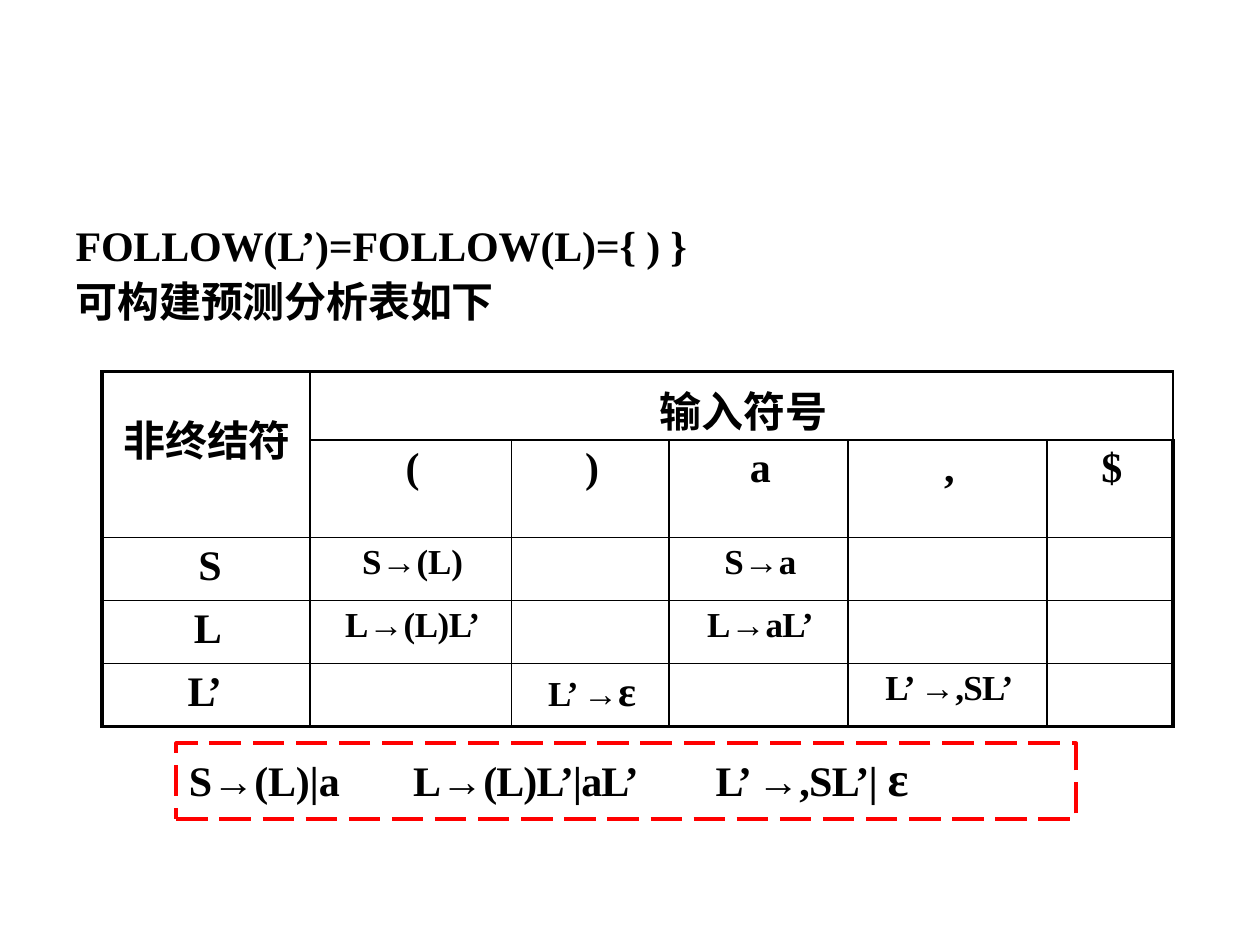
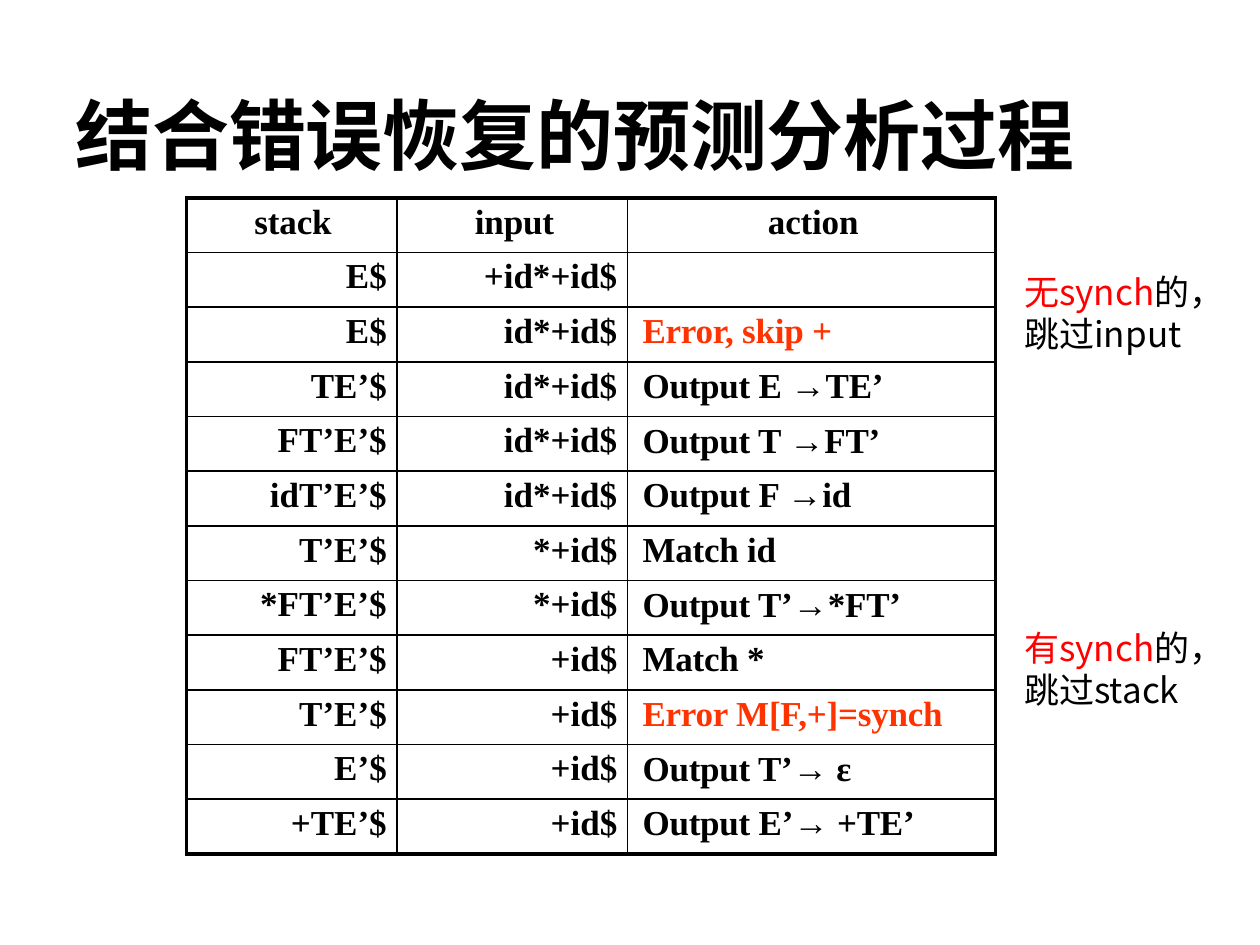
"""Builds two slides on predictive parsing: a parsing table and an error recovery trace."""
from itertools import groupby

from lxml import etree
from pptx import Presentation
from pptx.dml.color import RGBColor
from pptx.enum import dml, text
from pptx.oxml.ns import qn
from pptx.util import Inches, Pt

COLORS = {"ink": "000000", "error": "FF3300", "accent": "FF0000"}
SERIF, CJK, SYMBOL = "Times New Roman", "Noto Sans CJK SC", "Arial"
LEFT, CENTER, RIGHT = text.PP_ALIGN.LEFT, text.PP_ALIGN.CENTER, text.PP_ALIGN.RIGHT


def write(para, words, font=SERIF, size=24, color="ink", bold=True, spacing=-0.1,
          align=LEFT, before=0, line=1.0):
    """Add words to a paragraph, setting arrows in the symbol font."""
    para.alignment, para.space_before, para.line_spacing = align, Pt(before), line
    for is_arrow, letters in groupby(words, key=lambda letter: letter == "→"):
        span = para.add_run()
        span.text = "".join(letters)
        span.font.name = SYMBOL if is_arrow else font
        span.font.size, span.font.bold = Pt(size), bold
        span.font.color.rgb = RGBColor.from_string(COLORS[color])
        props = span.font._element
        props.set("spc", str(round(spacing * 100)))
        etree.SubElement(props, qn("a:ea")).set("typeface", span.font.name)


def add_grid(page, left, top, widths, heights):
    """Add an unfilled table with thin inner rules and a thick frame."""
    table = page.shapes.add_table(len(heights), len(widths), Inches(left), Inches(top),
                                  Inches(sum(widths)), Inches(sum(heights))).table
    table.first_row = table.horz_banding = False
    for column, width in zip(table.columns, widths):
        column.width = Inches(width)
    for row, height in zip(table.rows, heights):
        row.height = Inches(height)
    last_row, last_col = len(heights) - 1, len(widths) - 1
    for r in range(len(heights)):
        for c in range(len(widths)):
            cell = table.cell(r, c)
            cell.margin_left = cell.margin_right = cell.margin_bottom = 0
            cell.margin_top = Inches(0.04)
            props = cell._tc.get_or_add_tcPr()
            edges = {"L": c == 0, "R": c == last_col, "T": r == 0, "B": r == last_row}
            for side, is_outer in edges.items():
                rule = etree.SubElement(props, qn(f"a:ln{side}"))
                rule.set("w", str(Pt(2.25 if is_outer else 1)))
                fill = etree.SubElement(rule, qn("a:solidFill"))
                etree.SubElement(fill, qn("a:srgbClr")).set("val", COLORS["ink"])
            cell.fill.background()
    return table


deck = Presentation()
deck.slide_width, deck.slide_height = Inches(10), Inches(7.5)
pages, titles = [], []
for left, top, width, height, inset in [(0.59, 1.69, 4.91, 1, 0.1),
                                        (0.59, 0.77, 7.98, 0.76, 0.01)]:
    page = deck.slides.add_slide(deck.slide_layouts[5])
    title = page.shapes.title
    title.left, title.top = Inches(left), Inches(top)
    title.width, title.height = Inches(width), Inches(height)
    frame = title.text_frame
    frame.auto_size = text.MSO_AUTO_SIZE.NONE
    frame.vertical_anchor = text.MSO_ANCHOR.TOP
    frame.margin_left, frame.margin_top = Inches(0.01), Inches(inset)
    frame.margin_right = frame.margin_bottom = 0
    pages.append(page)
    titles.append(frame)
grammar_page, recovery_page = pages

write(titles[0].paragraphs[0], "FOLLOW(L’)=FOLLOW(L)={ ) }", before=7, line=0.9)
write(titles[0].add_paragraph(), "可构建预测分析表如下", font=CJK, before=6, line=0.9)

parse_table = add_grid(grammar_page, 0.81, 2.95, [1.65, 1.6, 1.25, 1.42, 1.58, 1],
                       [0.5, 0.72, 0.5, 0.5, 0.5])
corner, header = parse_table.cell(0, 0), parse_table.cell(0, 1)
corner.merge(parse_table.cell(1, 0))
header.merge(parse_table.cell(0, 5))
corner.margin_left, corner.margin_top = Inches(0.17), Inches(0.29)
header.margin_left, header.margin_top = Inches(0.03), Inches(0.06)
write(corner.text_frame.paragraphs[0], "非终结符", font=CJK)
write(header.text_frame.paragraphs[0], "输入符号", font=CJK, align=CENTER)

for col, symbol in enumerate("()a,$", start=1):
    cell = parse_table.cell(1, col)
    cell.margin_left = Inches(0.03)
    write(cell.text_frame.paragraphs[0], symbol, spacing=0, align=CENTER)
for row, (symbol, spacing) in enumerate([("S", 0), ("L", 0), ("L’", -2.2)], start=2):
    cell = parse_table.cell(row, 0)
    cell.margin_right = Inches(0.7)
    write(cell.text_frame.paragraphs[0], symbol, spacing=spacing, align=RIGHT)

productions = {
    (2, 1): [("S→(L)", -0.1, 20)],
    (2, 3): [("S→a", -0.1, 20)],
    (3, 1): [("L→(L)L’", -0.3, 20)],
    (3, 3): [("L→aL’", -0.4, 20)],
    (4, 2): [("L’ ", -0.9, 20), ("→", -0.1, 20), ("ε", -0.1, 24)],
    (4, 4): [("L’ ", -0.9, 20), ("→,SL’", -0.4, 20)],
}
for (row, col), spans in productions.items():
    cell = parse_table.cell(row, col)
    cell.margin_left = Inches(0.03)
    for words, spacing, size in spans:
        write(cell.text_frame.paragraphs[0], words, size=size, spacing=spacing, align=CENTER)

builder = grammar_page.shapes.build_freeform(Inches(1.4), Inches(6.5))
builder.add_line_segments([(Inches(x), Inches(y)) for x, y in
                           [(8.54, 6.5), (8.54, 5.9), (1.4, 5.9)]], close=True)
grammar_frame = builder.convert_to_shape()
grammar_frame.shadow.inherit = False
grammar_frame.fill.background()
grammar_frame.line.color.rgb = RGBColor.from_string(COLORS["accent"])
grammar_frame.line.width = Pt(2.25)
grammar_frame.line.dash_style = dml.MSO_LINE.LONG_DASH

for left, top, width, height, spans in [
    (1.49, 5.98, 1.23, 0.43, [("S→(L)|a", -0.1, 24)]),
    (3.27, 5.98, 1.87, 0.43, [("L→(L)L’|aL’", -0.5, 24)]),
    (5.67, 5.92, 1.61, 0.5, [("L’ ", -1.1, 24), ("→,SL’| ", -0.4, 24), ("ε", 0, 28)]),
]:
    box = grammar_page.shapes.add_textbox(Inches(left), Inches(top), Inches(width), Inches(height))
    frame = box.text_frame
    frame.word_wrap = True
    frame.margin_left = frame.margin_top = Inches(0.01)
    frame.margin_right = frame.margin_bottom = 0
    for words, spacing, size in spans:
        write(frame.paragraphs[0], words, size=size, spacing=spacing, before=1)

write(titles[1].paragraphs[0], "结合错误恢复的预测分析过程", font=CJK, size=44,
      spacing=-0.15, before=0.9, line=0.9)

steps = [
    ("E$", "+id*+id$", ""),
    ("E$", "id*+id$", "Error, skip +"),
    ("TE’$", "id*+id$", "Output E →TE’"),
    ("FT’E’$", "id*+id$", "Output T →FT’"),
    ("idT’E’$", "id*+id$", "Output F →id"),
    ("T’E’$", "*+id$", "Match id"),
    ("*FT’E’$", "*+id$", "Output T’→*FT’"),
    ("FT’E’$", "+id$", "Match *"),
    ("T’E’$", "+id$", "Error M[F,+]=synch"),
    ("E’$", "+id$", "Output T’→ ε"),
    ("+TE’$", "+id$", "Output E’→ +TE’"),
]
row_count = len(steps) + 1
trace = add_grid(recovery_page, 1.48, 1.57, [1.67, 1.83, 2.92], [5.21 / row_count] * row_count)
for col, (name, indent, align) in enumerate([("stack", 0.54, LEFT), ("input", 0.62, LEFT),
                                             ("action", 0.03, CENTER)]):
    cell = trace.cell(0, col)
    cell.margin_left = Inches(indent)
    write(cell.text_frame.paragraphs[0], name, size=20, align=align)
for row, step in enumerate(steps, start=1):
    for col, words in enumerate(step):
        cell = trace.cell(row, col)
        is_action = col == 2
        cell.margin_left = Inches(0.12 if is_action else 0)
        cell.margin_right = Inches(0 if is_action else 0.08)
        write(cell.text_frame.paragraphs[0], words, size=20,
              color="error" if words.startswith("Error") else "ink",
              spacing=-0.15 if is_action else 0, align=LEFT if is_action else RIGHT)

for top, case, skipped in [(2.1, "无synch", "跳过input"), (4.92, "有synch", "跳过stack")]:
    note = recovery_page.shapes.add_textbox(Inches(8.03), Inches(top), Inches(1.72), Inches(0.77))
    frame = note.text_frame
    frame.word_wrap = True
    plain = dict(font=CJK, size=20, bold=False, spacing=0, line=Pt(24))
    write(frame.paragraphs[0], case, color="accent", **plain)
    write(frame.paragraphs[0], "的，", **plain)
    write(frame.add_paragraph(), skipped, **plain)

deck.save("out.pptx")
